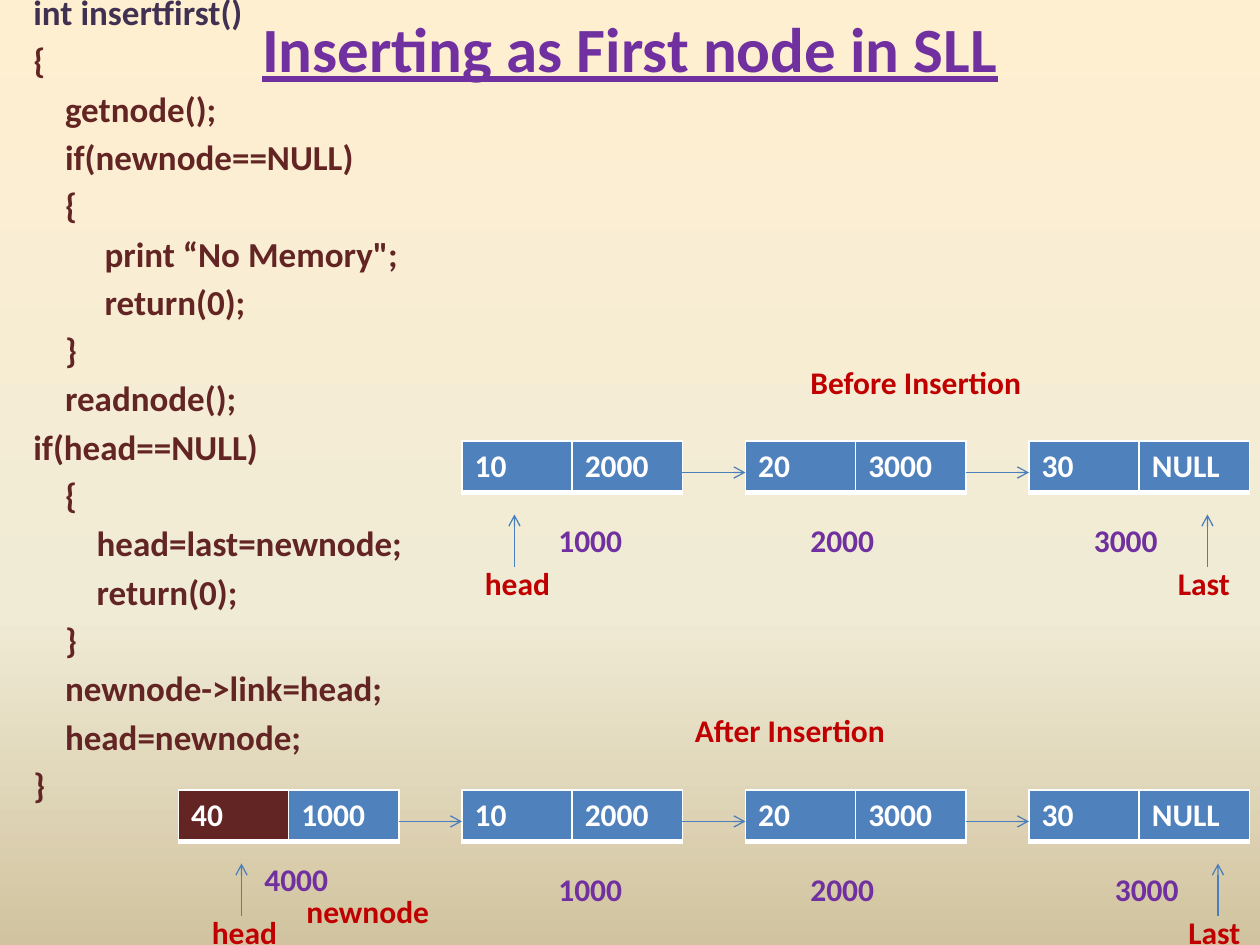
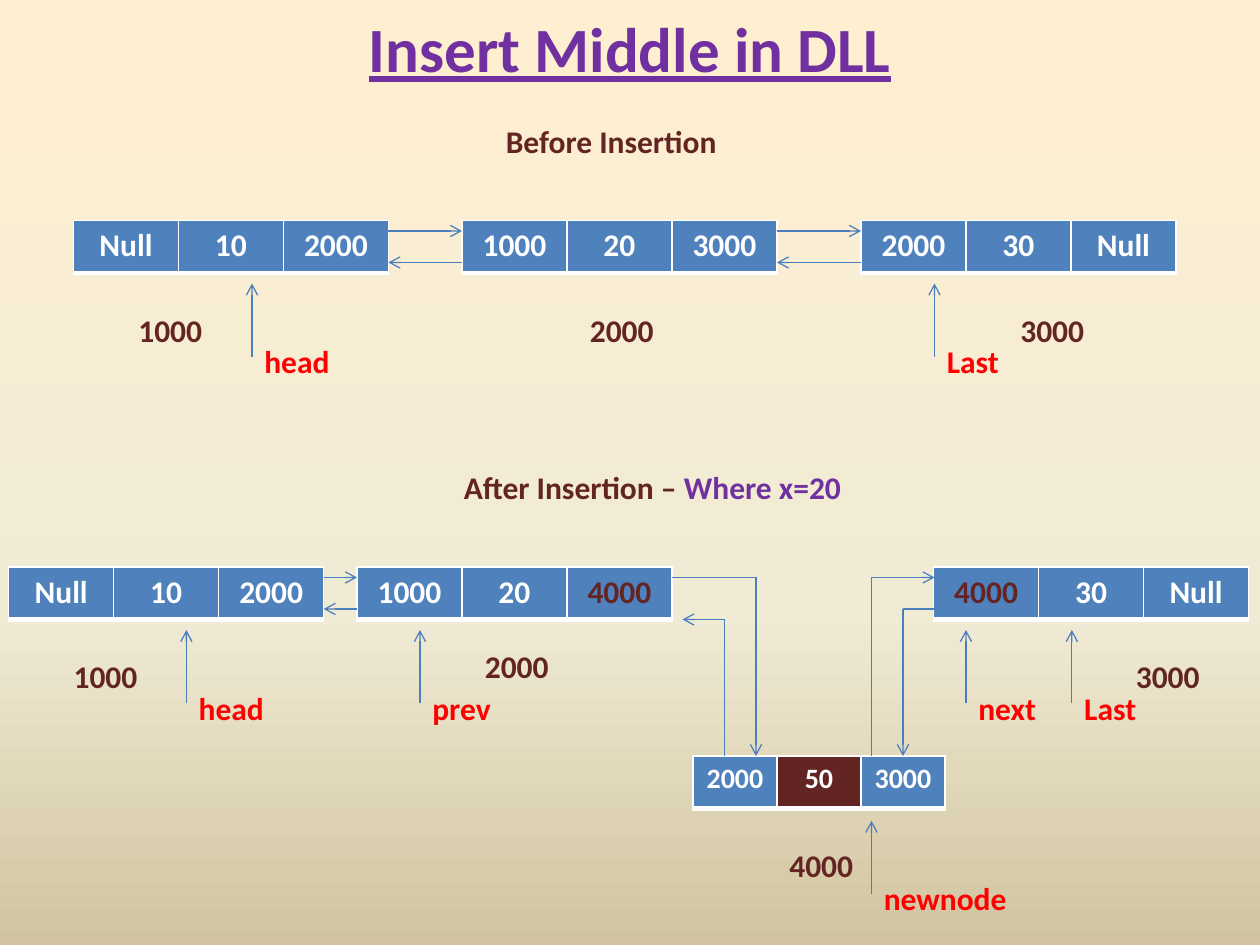
"""Builds two slides on inserting nodes into singly and doubly linked lists."""
from copy import deepcopy
from dataclasses import dataclass

from pptx import Presentation
from pptx.dml.color import RGBColor
from pptx.enum.shapes import MSO_CONNECTOR
from pptx.enum.text import MSO_ANCHOR, MSO_AUTO_SIZE, PP_ALIGN
from pptx.oxml.ns import qn
from pptx.util import Pt
from lxml import etree

STRAIGHT = MSO_CONNECTOR.STRAIGHT
LEFT, CENTER = PP_ALIGN.LEFT, PP_ALIGN.CENTER
TOP, MIDDLE = MSO_ANCHOR.TOP, MSO_ANCHOR.MIDDLE
GROW, FIXED = MSO_AUTO_SIZE.SHAPE_TO_FIT_TEXT, MSO_AUTO_SIZE.NONE


@dataclass(frozen=True)
class Theme:
    font: str = "Calibri"
    title_size: int = 36
    code_size: int = 20
    text_size: int = 18
    small_size: int = 16
    purple: str = "7030A0"
    maroon: str = "632523"
    crimson: str = "C00000"
    red: str = "FF0000"
    indigo: str = "403152"
    blue: str = "4F81BD"
    arrow: str = "4B7EBC"
    white: str = "FFFFFF"
    backdrop: tuple = ((0, "FFEFD1"), (0.65, "F0EBD5"), (1, "D1C39F"))
    borders: tuple = (("a:lnL", 1), ("a:lnR", 1), ("a:lnT", 1), ("a:lnB", 3))


THEME = Theme()

CODE = """int insertfirst()
{
    getnode();
    if(newnode==NULL)
    {
         print “No Memory";
         return(0);
    }
    readnode();
if(head==NULL)
    {
        head=last=newnode;
        return(0);
    }
    newnode->link=head;
    head=newnode;
}""".split("\n")


def rgb(value):
    return RGBColor.from_string(value)


def assign(target, values):
    for name, value in values.items():
        setattr(target, name, value)


class ListDiagram:
    """Draws linked-list diagrams on the current slide in one style."""

    def __init__(self, deck, theme):
        self.deck, self.theme, self.slide = deck, theme, None

    def start(self):
        self.slide = self.deck.slides.add_slide(self.deck.slide_layouts[6])
        fill = self.slide.background.fill
        fill.gradient()
        fill.gradient_angle = 270
        stops = self.slide._element.find(".//" + qn("a:gsLst"))
        stops.append(deepcopy(stops[-1]))
        for stop, (position, color) in zip(fill.gradient_stops, self.theme.backdrop):
            stop.color.rgb = rgb(color)
            stop.position = position

    def run(self, paragraph, text, color, size, underline=None):
        run = paragraph.add_run()
        run.text = text
        assign(run.font, {"name": self.theme.font, "size": Pt(size),
                          "bold": True, "underline": underline})
        run.font.color.rgb = rgb(color)

    def text(self, lines, box, size, align=LEFT, anchor=TOP, fit=GROW,
             gap=0, underline=None):
        frame = self.slide.shapes.add_textbox(*map(Pt, box)).text_frame
        assign(frame, {"word_wrap": True, "auto_size": fit,
                       "vertical_anchor": anchor})
        for index, runs in enumerate(lines):
            paragraph = frame.add_paragraph() if index else frame.paragraphs[0]
            assign(paragraph, {"alignment": align,
                               "space_before": Pt(gap if index else 0)})
            for words, color in runs:
                self.run(paragraph, words, color, size, underline)

    def title(self, words):
        self.text([[(words, self.theme.purple)]], (36, -18, 648, 90),
                  self.theme.title_size, CENTER, MIDDLE, FIXED, underline=True)

    def code(self, lines, box):
        colors = [self.theme.indigo] + [self.theme.maroon] * (len(lines) - 1)
        self.text([[pair] for pair in zip(lines, colors)], box,
                  self.theme.code_size, fit=FIXED, gap=3.6)

    def label(self, words, x, y, color, width=66):
        self.text([[(words, color)]], (x, y, width, 29), self.theme.text_size)

    def labels(self, places, color):
        for words, x, y in places:
            self.label(words, x, y, color)

    def line(self, start, end, arrow=True):
        link = self.slide.shapes.add_connector(STRAIGHT, *map(Pt, start + end))
        link.line.color.rgb = rgb(self.theme.arrow)
        link.line.width = Pt(0.75)
        if arrow:
            etree.SubElement(link.line._get_or_add_ln(), qn("a:tailEnd"), type="arrow")
        etree.SubElement(link._element.spPr, qn("a:effectLst"))

    def marker(self, words, x, top, color, reach=(36, 78), shift=(0, 66), width=66):
        near, far = reach
        self.line((x, top + far), (x, top + near))
        self.label(words, x + shift[0], top + shift[1], color, width)

    def node(self, fields, x, top, width, height=30, size=None, align=CENTER,
             fills=None, inks=None):
        fills, inks = fills or {}, inks or {}
        table = self.slide.shapes.add_table(
            1, len(fields), Pt(x), Pt(top), Pt(width), Pt(height)).table
        assign(table, {"first_row": False, "horz_banding": False})
        for index, field in enumerate(fields):
            cell = table.cell(0, index)
            self.border(cell)
            cell.fill.solid()
            cell.fill.fore_color.rgb = rgb(fills.get(index, self.theme.blue))
            paragraph = cell.text_frame.paragraphs[0]
            paragraph.alignment = align
            self.run(paragraph, field, inks.get(index, self.theme.white),
                     size or self.theme.text_size)

    def border(self, cell):
        properties = cell._tc.get_or_add_tcPr()
        for side, width in self.theme.borders:
            edge = etree.SubElement(properties, qn(side), w=str(Pt(width)))
            paint = etree.SubElement(edge, qn("a:solidFill"))
            etree.SubElement(paint, qn("a:srgbClr"), val=self.theme.white)


def singly_linked_list(diagram, nodes, top, first, fills=None):
    """Draws evenly spaced two-field nodes joined by arrows."""
    width, pitch = 126, 162
    for index, fields in enumerate(nodes):
        x = first + index * pitch
        diagram.node(fields, x, top, width, 29.5, align=LEFT,
                     fills=None if index else fills)
        if index:
            diagram.line((x - pitch + width, top + 18), (x, top + 18))


def insert_first(diagram):
    theme = diagram.theme
    before, after = 252, 451.4
    nodes = [("10", "2000"), ("20", "3000"), ("30", "NULL")]
    pointer = {"color": theme.crimson, "reach": (42, 72), "shift": (-24, 67)}

    diagram.start()
    diagram.title("Inserting as First node in SLL")
    diagram.code(CODE, (12, -9, 276, 378))

    diagram.label("Before Insertion", 456, 204, theme.crimson, 162)
    singly_linked_list(diagram, nodes, before, 264)
    diagram.label("After Insertion", 390, 403, theme.crimson, 162)
    singly_linked_list(diagram, [("40", "1000")] + nodes, after, 102,
                       {0: theme.maroon})

    for top, third, head, last in ((before, 618, 294, 690), (after, 630, 138, 696)):
        diagram.labels([("1000", 312, top + 42), ("2000", 456, top + 42),
                        ("3000", third, top + 42)], theme.purple)
        diagram.marker("head", head, top, **pointer)
        diagram.marker("Last", last, top, **pointer)
    diagram.label("4000", 144, 488, theme.purple)
    diagram.label("newnode", 168, 506, theme.crimson, 90)


def insert_middle(diagram):
    theme = diagram.theme
    before, after, inserted = 126, 324, 432
    width = 180

    diagram.start()
    diagram.label("Before Insertion", 282, 66, theme.maroon, 156)
    diagram.title("Insert Middle in DLL")
    diagram.node(("Null", "10", "2000"), 42, before, width)
    diagram.node(("1000", "20", "3000"), 264, before, width)
    diagram.node(("2000", "30", "Null"), 492, before, width)
    diagram.labels([("1000", 72, 174), ("2000", 330, 174), ("3000", 576, 174)],
                   theme.maroon)

    diagram.text([[("After Insertion –", theme.maroon),
                   (" Where x=20", theme.purple)]],
                 (258, 264, 252, 29), theme.text_size)
    diagram.node(("Null", "10", "2000"), 5, after, width)
    diagram.node(("1000", "20", "4000"), 204, after, width, inks={2: theme.maroon})
    diagram.node(("4000", "30", "Null"), 533.5, after, width, inks={0: theme.maroon})
    diagram.node(("2000", "50", "3000"), 396, inserted, 144,
                 size=theme.small_size, fills={1: theme.maroon})
    diagram.labels([("1000", 35, 372), ("2000", 270, 366), ("3000", 642, 372),
                    ("4000", 444, 480)], theme.maroon)

    for top, left, right in ((before, 222, 264), (before, 444, 492),
                             (after, 185, 204)):
        diagram.line((left, top + 6), (right, top + 6))
        diagram.line((right, top + 24), (left, top + 24))

    for start, corner, end in (((384, 330), (432, 330), (432, 432)),
                               ((414, 432), (414, 354), (390, 354)),
                               ((498, 432), (498, 330), (534, 330)),
                               ((534, 348), (516, 348), (516, 432))):
        diagram.line(start, corner, arrow=False)
        diagram.line(corner, end)

    for words, x, top in (("head", 144, before), ("Last", 534, before),
                          ("head", 106.5, after), ("prev", 240, after),
                          ("next", 552, after), ("Last", 612.5, after)):
        diagram.marker(words, x, top, theme.red)
    diagram.marker("newnode", 498, inserted + 1, theme.red, width=102)


def main():
    deck = Presentation()
    assign(deck, {"slide_width": Pt(720), "slide_height": Pt(540)})
    diagram = ListDiagram(deck, THEME)
    insert_first(diagram)
    insert_middle(diagram)
    deck.save("out.pptx")


if __name__ == "__main__":
    main()
